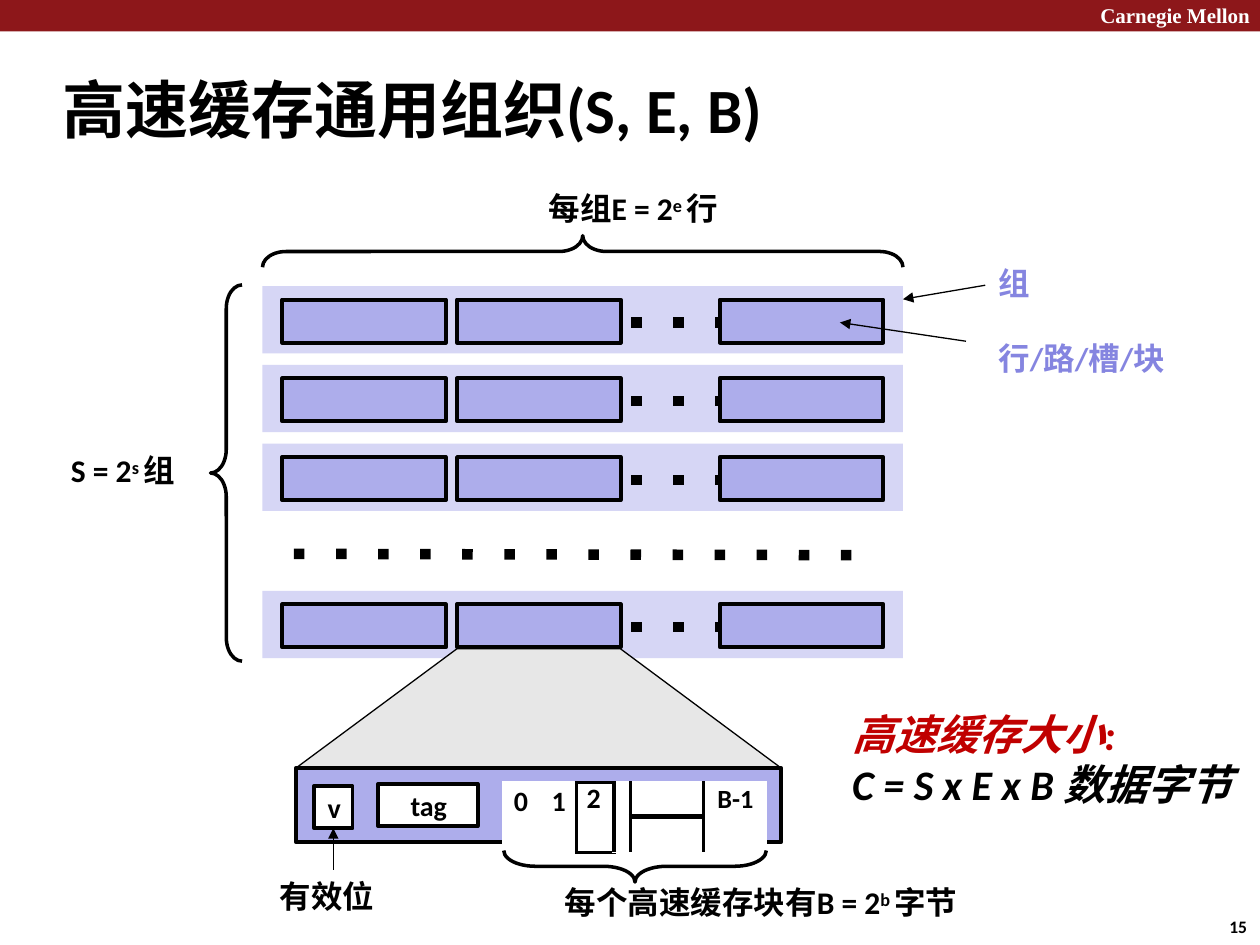
"""Build the slide on the general organisation of a cache."""
from dataclasses import dataclass

from lxml.etree import SubElement
from pptx import Presentation
from pptx.dml.color import RGBColor
from pptx.enum.shapes import MSO_CONNECTOR as Link, MSO_SHAPE as Shape
from pptx.enum.text import MSO_ANCHOR as Anchor, PP_ALIGN as Align
from pptx.oxml.ns import qn
from pptx.util import Pt


@dataclass(frozen=True)
class Theme:
    """Colours, fonts and type sizes of the slide."""
    ink: str = "000000"
    paper: str = "FFFFFF"
    banner: str = "8D171A"
    set_fill: str = "D6D6F5"
    line_fill: str = "ADADEB"
    zoom: str = "E7E7E7"
    note: str = "8585E0"
    accent: str = "C00000"
    font: str = "Calibri"
    serif: str = "Times New Roman"
    title: int = 36
    formula: int = 24
    label: int = 18
    cell: int = 16
    last_cell: int = 15
    banner_text: int = 12
    number: int = 10
    thin: float = 0.75
    brace: float = 2
    outline: float = 2.25
    rule: float = 3.12
    dots: float = 6


THEME = Theme()


def points(*values):
    """Turn numbers into lengths in points."""
    return [Pt(value) for value in values]


def style(para, size, color=THEME.ink, italic=False, font=THEME.font):
    """Format every run of a paragraph."""
    for span in para.runs:
        span.font.name, span.font.size = font, Pt(size)
        span.font.bold, span.font.italic = True, italic
        span.font.color.rgb = RGBColor.from_string(color)


def prepare(frame, anchor=Anchor.TOP):
    """Set wrapping, anchor and narrow insets of a text frame."""
    frame.word_wrap, frame.vertical_anchor = True, anchor
    frame.margin_right = frame.margin_top = frame.margin_bottom = 0
    frame.margin_left = Pt(1)


def add_text(page, place, text, size, **look):
    """Add a text box and return its frame."""
    frame = page.shapes.add_textbox(*points(*place)).text_frame
    prepare(frame)
    frame.text = text
    for para in frame.paragraphs:
        style(para, size, **look)
    return frame


def add_power(page, place, lead, exponent, tail):
    """Add a label that holds a power of two and return its frame."""
    frame = add_text(page, place, lead, THEME.label)
    para = frame.paragraphs[0]
    for text in ("2", exponent + " ", tail):
        para.add_run().text = text
    style(para, THEME.label)
    para.runs[2].font._element.set("baseline", "25000")
    return frame


def finish(shape, fill=None, width=None):
    """Give a shape its fill and outline, without shadow."""
    shape.shadow.inherit = False
    if fill:
        shape.fill.solid()
        shape.fill.fore_color.rgb = RGBColor.from_string(fill)
    else:
        shape.fill.background()
    if width:
        shape.line.width = Pt(width)
        shape.line.color.rgb = RGBColor.from_string(THEME.ink)
    else:
        shape.line.fill.background()
    return shape


def add_box(page, place, fill, width=None, text=""):
    """Add a rectangle with optional outline and text."""
    box = finish(page.shapes.add_shape(Shape.RECTANGLE, *points(*place)), fill, width)
    if text:
        prepare(box.text_frame, Anchor.MIDDLE)
        box.text_frame.text = text
        box.text_frame.paragraphs[0].alignment = Align.CENTER
        style(box.text_frame.paragraphs[0], THEME.cell)
    return box


def add_line(page, start, end, width, tag, **ending):
    """Add a line whose extra element sets dots or an arrowhead."""
    line = page.shapes.add_connector(Link.STRAIGHT, *points(*start, *end))
    line.line.width = Pt(width)
    line.line.color.rgb = RGBColor.from_string(THEME.ink)
    properties = line._element.spPr
    SubElement(properties.find(qn("a:ln")), qn(tag), **ending)
    SubElement(properties, qn("a:effectLst"))
    return line


def add_dots(page, start, end):
    """Add a row of square dots."""
    return add_line(page, start, end, THEME.dots, "a:prstDash", val="dot")


def add_arrow(page, start, end):
    """Add a thin arrow."""
    return add_line(page, start, end, THEME.thin, "a:tailEnd", type="triangle")


def add_brace(page, center, length, turn, curve):
    """Add a brace of the given length, turned about its center."""
    depth = 18
    place = center[0] - depth / 2, center[1] - length / 2, depth, length
    brace = finish(page.shapes.add_shape(Shape.LEFT_BRACE, *points(*place)), width=THEME.brace)
    brace.adjustments[0], brace.rotation = curve, turn


def add_set(page, top):
    """Add one cache set with its lines."""
    add_box(page, (150, top, 366, 38.5), THEME.set_fill)
    add_dots(page, (360.7, top + 20.7), (411.3, top + 20.7))
    for left in (161.3, 261.2, 411.3):
        add_box(page, (left, top + 7.7, 93.5, 24.6), THEME.line_fill, THEME.outline)


def add_zoom(page):
    """Add the wedge that enlarges one line."""
    builder = page.shapes.build_freeform(Pt(261.2), Pt(370.7))
    corners = [(354.5, 370.7), (446.5, 439), (169, 439)]
    builder.add_line_segments([points(*corner) for corner in corners])
    finish(builder.convert_to_shape(), THEME.zoom, THEME.thin)


def add_border(cell, side, width):
    """Draw one border of a table cell."""
    properties = cell._tc.get_or_add_tcPr()
    border = SubElement(properties, qn("a:" + side), w=str(Pt(width)))
    fill = SubElement(border, qn("a:solidFill"))
    SubElement(fill, qn("a:srgbClr"), val=THEME.ink)


def add_block(page):
    """Add the table of data bytes in a line."""
    widths = (21.5, 20.8, 21.5, 9.3, 41.8, 35.7)
    table = page.shapes.add_table(2, 6, *points(287.2, 447, sum(widths), 39)).table
    table.first_row = table.horz_banding = False
    for column, width in zip(table.columns, widths):
        column.width = Pt(width)
    borders = {(0, 1): ["lnR"], (0, 2): ["lnL", "lnR", "lnT", "lnB"], (0, 3): ["lnR"],
               (1, 1): ["lnR"], (1, 2): ["lnL", "lnR", "lnB"], (1, 3): ["lnR"],
               (0, 4): ["lnL", "lnB"], (1, 4): ["lnL", "lnT"]}
    for row in range(2):
        for column in range(6):
            cell = table.cell(row, column)
            cell.margin_left = cell.margin_right = cell.margin_top = cell.margin_bottom = 0
            for side in borders.get((row, column), []):
                level = column == 4 and side != "lnL"
                add_border(cell, side, THEME.rule if level else THEME.outline)
            cell.fill.solid()
            cell.fill.fore_color.rgb = RGBColor.from_string(THEME.paper)
            SubElement(cell.text_frame.paragraphs[0]._p, qn("a:endParaRPr"), sz="800")
    texts = {0: ("0", 6.5, 1.4), 1: ("1", 6.5, 1.4), 2: ("2", 5.8, 0), 3: ("", 0, 0), 5: ("B-1", 7.9, 1)}
    for column, (text, indent, drop) in texts.items():
        cell = table.cell(0, column)
        cell.merge(table.cell(1, column))
        if text:
            cell.text = text
            cell.margin_left, cell.margin_top = points(indent, drop)
            style(cell.text_frame.paragraphs[0], THEME.last_cell if column == 5 else THEME.cell)


def add_heading(page):
    """Add the banner and the title."""
    add_box(page, (0, 0, 720, 18), THEME.banner)
    add_text(page, (627.8, 1.4, 92, 16), "Carnegie Mellon", THEME.banner_text,
             color=THEME.paper, font=THEME.serif)
    title = page.shapes.title
    title.left, title.top, title.width, title.height = points(34.6, 40.3, 538, 43.2)
    prepare(title.text_frame)
    title.text_frame.text = "高速缓存通用组织(S, E, B)"
    title.text_frame.paragraphs[0].alignment = Align.LEFT
    style(title.text_frame.paragraphs[0], THEME.title)


def add_labels(page):
    """Add the labels around the diagram."""
    add_power(page, (39.6, 257.8, 80, 21.6), "S = ", "s", "组")
    lines = add_power(page, (312.5, 108, 394, 105), "每组E = ", "e", "行")
    for text in ("组", "行/路/槽/块"):
        para = lines.add_paragraph()
        para.text = text
        para.line_spacing, para.space_before = 1.43, Pt(11.9)
        para._p.get_or_add_pPr().set("marL", str(Pt(257)))
        style(para, THEME.label, THEME.note)
    add_power(page, (321.8, 504.7, 287, 21.6), "每个高速缓存块有B = ", "b", "字节")
    add_text(page, (159, 501, 66, 21.6), "有效位", THEME.label)
    size = add_text(page, (486, 404.6, 234, 60), "高速缓存大小:\nC = S x E x B 数据字节",
                    THEME.formula, italic=True)
    style(size.paragraphs[0], THEME.formula, THEME.accent, italic=True)
    number = add_text(page, (701.5, 525, 16, 12), "15", THEME.number)
    number.paragraphs[0].line_spacing = Pt(10.4)


def main():
    """Build the deck and save it."""
    deck = Presentation()
    deck.slide_width, deck.slide_height = points(720, 540)
    page = deck.slides.add_slide(deck.slide_layouts[5])
    add_heading(page)
    add_brace(page, (333, 143.7), 366, 90, 0.75)
    add_brace(page, (129.3, 270.3), 215, 0, 0.75)
    for top in (163.5, 208.5, 253.5, 337.6):
        add_set(page, top)
    add_dots(page, (168, 316.5), (504, 317.3))
    add_arrow(page, (563, 163), (516, 171))
    add_arrow(page, (552, 195), (480, 184.3))
    add_zoom(page)
    add_box(page, (169, 439, 277.5, 42), THEME.line_fill, THEME.outline)
    add_block(page)
    add_box(page, (216, 448, 57, 24), THEME.paper, THEME.outline, "tag")
    valid = add_box(page, (179.5, 449.3, 22, 24), THEME.paper, THEME.outline, "v")
    add_arrow(page, (190.5, 497), (190.5, 473.3)).end_connect(valid, 2)
    add_brace(page, (362.9, 495), 150, 270, 1)
    add_labels(page)
    deck.save("out.pptx")


if __name__ == "__main__":
    main()
